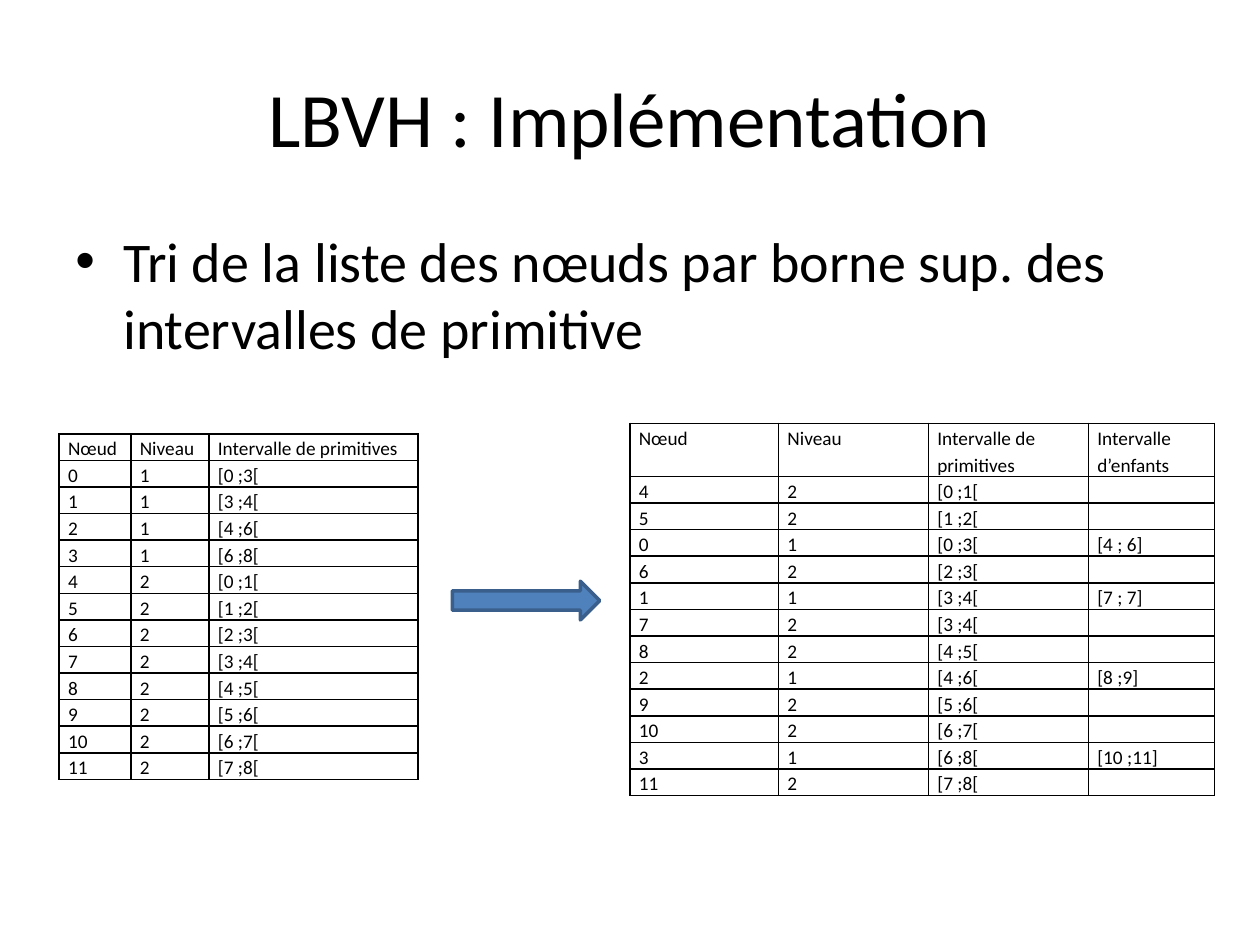
from lxml import etree
from pptx import Presentation
from pptx.dml.color import RGBColor
from pptx.enum.shapes import MSO_SHAPE
from pptx.enum.text import MSO_ANCHOR, PP_ALIGN
from pptx.oxml.ns import qn
from pptx.util import Inches, Pt

RIGHT_ARROW = MSO_SHAPE.RIGHT_ARROW
TOP, MIDDLE = MSO_ANCHOR.TOP, MSO_ANCHOR.MIDDLE
LEFT, CENTER = PP_ALIGN.LEFT, PP_ALIGN.CENTER

COLORS = {"text": "000000", "border": "000000", "arrow": "4F81BD", "arrow_line": "3A5F8C"}
FONT = "Calibri"
NO_BREAK_SPACE = chr(160)
WIDTH, HEIGHT = 10, 7.5
ROW_HEIGHT = 0.21
CELL_SIZE = 11

TITLE_BOX = (0.05, 0.04, 0.9, 0.167)
BODY_BOX = (0.05, 0.233, 0.9, 0.66)
ARROW_BOX = (0.359, 0.615, 0.117, 0.041)
NODES_BOX = (0.047, 0.459, 0.285, 0.364)
SORTED_BOX = (0.5, 0.448, 0.465, 0.392)

HEADINGS = ["Nœud", "Niveau", "Intervalle de primitives"]
LEVELS = {
    1: [(0, 3), (3, 4), (4, 6), (6, 8)],
    2: [(start, start + 1) for start in range(8)],
}
CHILDREN = {0: "[4 ; 6]", 1: "[7 ; 7]", 2: "[8 ;9]", 3: "[10 ;11]"}


def place(box):
    """Turn shares of the slide into left, top, width and height."""
    return [Inches(share * side) for share, side in zip(box, (WIDTH, HEIGHT) * 2)]


def write(frame, text, size=CELL_SIZE, align=LEFT, anchor=TOP, spacing=None):
    """Write one formatted paragraph and return it."""
    frame.word_wrap = True
    frame.vertical_anchor = anchor
    para = frame.paragraphs[0]
    para.alignment = align
    if spacing:
        para.line_spacing = spacing
    if text:
        span = para.add_run()
        span.text = text
        span.font.size = Pt(size)
        span.font.name = FONT
        span.font.color.rgb = RGBColor.from_string(COLORS["text"])
    else:
        etree.SubElement(para._p, qn("a:endParaRPr"), sz=str(size * 100))
    return para


def add_title(page, box):
    """Add the centred title."""
    frame = page.shapes.add_textbox(*place(box)).text_frame
    write(frame, "LBVH : Implémentation", size=44, align=CENTER, anchor=MIDDLE)


def add_body(page, box):
    """Add the bulleted statement with a hanging indent."""
    frame = page.shapes.add_textbox(*place(box)).text_frame
    text = "Tri de la liste des nœuds par borne sup. des intervalles de primitive"
    para = write(frame, text, size=32)
    para.space_before = Pt(6.4)
    properties = para._p.get_or_add_pPr()
    properties.set("marL", str(Inches(0.38)))
    properties.set("indent", str(-Inches(0.38)))
    etree.SubElement(properties, qn("a:buFont"), typeface="Arial")
    etree.SubElement(properties, qn("a:buChar"), char="•")


def add_arrow(page, box):
    """Add the arrow from the node list to the sorted list."""
    arrow = page.shapes.add_shape(RIGHT_ARROW, *place(box))
    arrow.shadow.inherit = False
    arrow.fill.solid()
    arrow.fill.fore_color.rgb = RGBColor.from_string(COLORS["arrow"])
    arrow.line.color.rgb = RGBColor.from_string(COLORS["arrow_line"])
    arrow.line.width = Pt(2)


def add_borders(cell):
    """Draw a thin line on each side of a cell."""
    properties = cell._tc.get_or_add_tcPr()
    for side in ("lnL", "lnR", "lnT", "lnB"):
        line = etree.SubElement(properties, qn(f"a:{side}"), w=str(Pt(1)))
        fill = etree.SubElement(line, qn("a:solidFill"))
        etree.SubElement(fill, qn("a:srgbClr"), val=COLORS["border"])


def add_grid(page, box, widths, rows, header_lines=1):
    """Add a bordered table whose first row spans the given number of lines."""
    table = page.shapes.add_table(len(rows), len(widths), *place(box)).table
    table.first_row = False
    table.horz_banding = False
    for column, width in zip(table.columns, widths):
        column.width = Inches(width)
    for index, (row, texts) in enumerate(zip(table.rows, rows)):
        row.height = Inches(ROW_HEIGHT * (1 if index else header_lines))
        for cell, text in zip(row.cells, texts):
            add_borders(cell)
            cell.fill.background()
            cell.margin_left = cell.margin_right = Inches(0.07)
            cell.margin_top = cell.margin_bottom = 0
            if index:
                text = text.replace(" ", NO_BREAK_SPACE)
            write(cell.text_frame, text, spacing=1.15)


def list_nodes():
    """Number the nodes level by level, as (node, level, low, high)."""
    pairs = [(level, *span) for level, spans in LEVELS.items() for span in spans]
    return [(node, *pair) for node, pair in enumerate(pairs)]


def node_texts(node, level, low, high):
    """Give the cell texts of one node."""
    return [str(node), str(level), f"[{low} ;{high}["]


def main():
    """Build the slide and save it."""
    deck = Presentation()
    deck.slide_width, deck.slide_height = Inches(WIDTH), Inches(HEIGHT)
    page = deck.slides.add_slide(deck.slide_layouts[6])
    nodes = list_nodes()
    by_upper_bound = sorted(nodes, key=lambda node: node[3])
    node_rows = [HEADINGS] + [node_texts(*node) for node in nodes]
    sorted_rows = [HEADINGS + ["Intervalle d’enfants"]] + [
        node_texts(*node) + [CHILDREN.get(node[0], "")] for node in by_upper_bound
    ]
    add_title(page, TITLE_BOX)
    add_body(page, BODY_BOX)
    add_arrow(page, ARROW_BOX)
    add_grid(page, NODES_BOX, [0.57, 0.62, 1.66], node_rows)
    add_grid(page, SORTED_BOX, [1.18, 1.19, 1.27, 1], sorted_rows, header_lines=2)
    deck.save("out.pptx")


if __name__ == "__main__":
    main()
